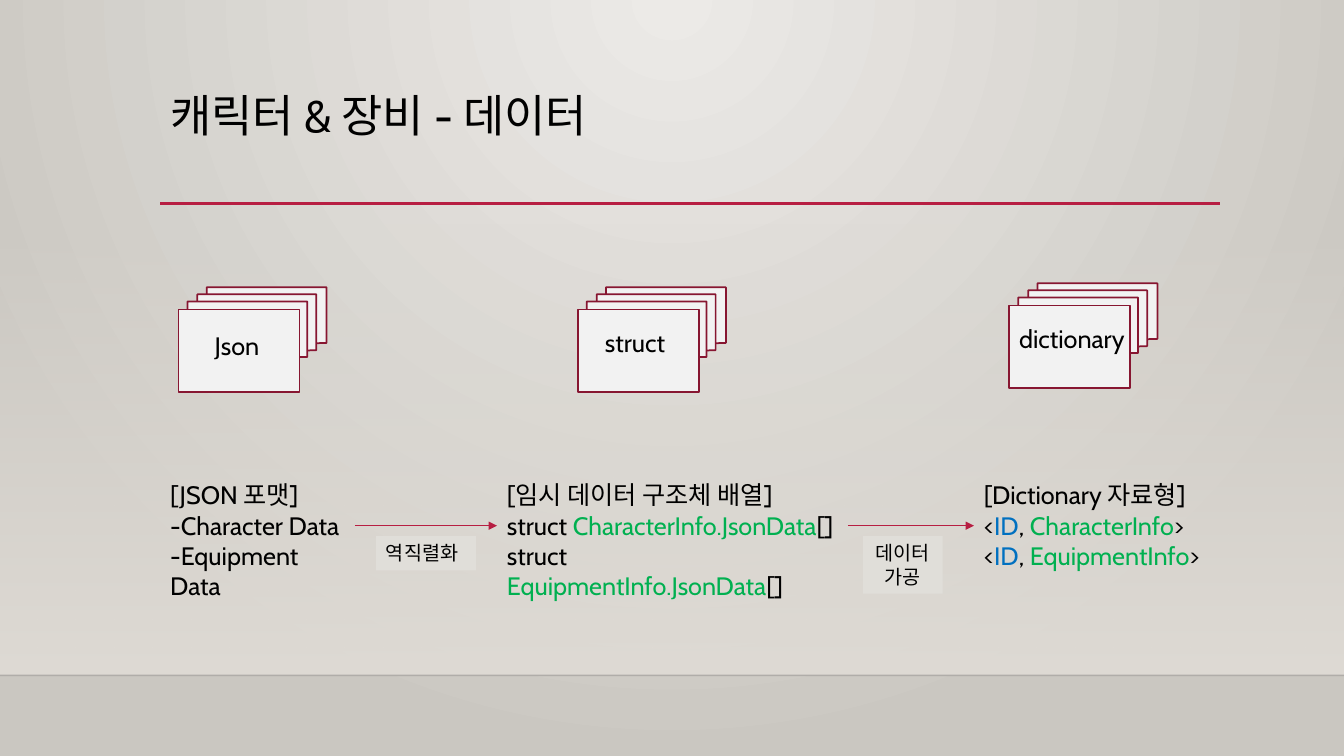
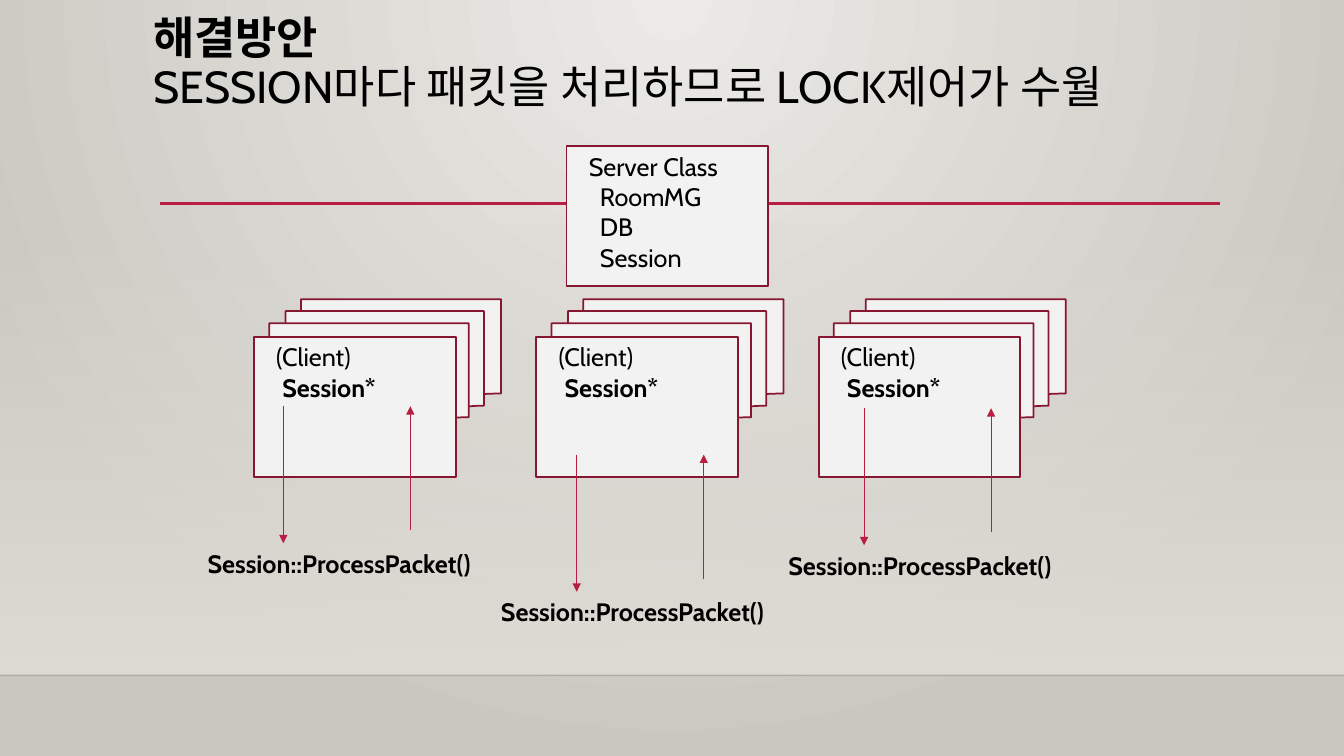
"""Builds two slides on game data loading and per-session packet handling."""
from dataclasses import dataclass

from lxml import etree
from pptx import Presentation
from pptx import util as u
from pptx.dml.color import RGBColor
from pptx.enum import shapes, text
from pptx.oxml.ns import qn


@dataclass(frozen=True)
class Theme:
    font: str = "Cabin"
    title: int = 32
    body: int = 18
    note: int = 14
    ink: str = "000000"
    type_name: str = "00B050"
    key: str = "0070C0"
    accent: str = "B71E42"
    edge: str = "871631"
    card: str = "F2F2F2"
    tag: str = "E0DED9"
    glow: str = "ECEAE7"
    shade: str = "CAC7C1"
    wall: str = "DFDBD5"
    floor_line: str = "000001"


T = Theme()
WIDTH, HEIGHT = 13.33, 7.5
FLOOR, WALL_TOP, RULE_Y = 6.7, 2.21, 2.02
RULE_LEFT, RULE_RIGHT = 1.59, 12.1
PAD = (0.1, 0.05)

DATA_TITLE = ["캐릭터 & 장비 - 데이터"]
STAGES = [
    dict(label="Json", card=(1.77, 3.07), pad=(0.36, 0.21), left=1.59, width=1.93,
         lines=["[JSON 포맷]", "-Character Data", "-Equipment Data"]),
    dict(label="struct", card=(5.73, 3.07), pad=(0.27, 0.18), left=4.93, width=3.48,
         lines=["[임시 데이터 구조체 배열]",
                [("struct ", None), ("CharacterInfo.JsonData", T.type_name), ("[]", None)],
                [("struct ", None), ("EquipmentInfo.JsonData", T.type_name), ("[]", None)]]),
    dict(label="dictionary", card=(10.01, 3.03), pad=(0.1, 0.18), left=9.66, width=2.31,
         lines=["[Dictionary 자료형]",
                [("<", None), ("ID", T.key), (", ", None), ("CharacterInfo", T.type_name), (">", None)],
                [("<", None), ("ID", T.key), (", ", None), ("EquipmentInfo", T.type_name), (">", None)]]),
]
STAGE_TOP, STAGE_HEIGHT = 4.71, 1.01
STAGE_CARD = (1.2, 0.82)
STEPS = [
    (["역직렬화"], (3.73, 5.32, 0.99, 0.34), text.PP_ALIGN.LEFT),
    (["데이터", "가공"], (8.56, 5.32, 0.79, 0.57), text.PP_ALIGN.CENTER),
]

SESSION_TITLE = ["해결방안", "SESSION마다 패킷을 처리하므로 LOCK제어가 수월"]
SERVER = ["Server Class", "RoomMG", "DB", "Session"]
CLIENT = ["(Client)", "Session*"]
CALL = "Session::ProcessPacket()"
SESSION_CARD = (2, 1.39)
SERVER_AT = (5.62, 1.45)
CLIENT_LEFT, CLIENT_TOP, CLIENT_PITCH = 2.52, 3.34, 2.8
CALLS_AT = [(1.96, 5.39), (4.87, 5.87), (7.72, 5.41)]
CALL_SIZE = (3.11, 0.4)
SEND_X, RETURN_X, ARROW_RISE, RETURN_GAP = 0.85, 2.11, 1.36, 0.13


def rgb(value):
    return RGBColor.from_string(value)


def inches(values):
    return [u.Inches(value) for value in values]


def set_alpha(color_holder, percent):
    color = color_holder.find(".//" + qn("a:srgbClr"))
    etree.SubElement(color, qn("a:alpha"), val=str(percent * 1000))


def set_gradient(fill, colors):
    fill.gradient()
    for stop, position, color in zip(fill.gradient_stops, (0, 1), colors):
        stop.position = position
        stop.color.rgb = rgb(color)


def write(frame, lines, size=T.body, pad=PAD, bold=(), indents=(),
          align=text.PP_ALIGN.LEFT, spacing=1.0):
    frame.word_wrap = True
    frame.vertical_anchor = text.MSO_ANCHOR.TOP
    frame.margin_left, frame.margin_top = inches(pad)
    frame.margin_right = u.Inches(min(pad[0], PAD[0]) if frame.margin_left <= u.Inches(0.1) and size != T.body else 0.05)
    for index, line in enumerate(lines):
        paragraph = frame.paragraphs[0] if index == 0 else frame.add_paragraph()
        paragraph.alignment = align
        paragraph.line_spacing = spacing
        font = paragraph.font
        font.name, font.size, font.bold = T.font, u.Pt(size), index in bold
        font.color.rgb = rgb(T.ink)
        if index < len(indents):
            paragraph._p.get_or_add_pPr().set("marL", str(u.Inches(indents[index])))
        for words, color in [(line, None)] if isinstance(line, str) else line:
            run = paragraph.add_run()
            run.text = words
            if color:
                run.font.color.rgb = rgb(color)


def add_text(slide, box, lines, **style):
    block = slide.shapes.add_textbox(*inches(box))
    write(block.text_frame, lines, **style)
    return block


def add_panel(slide, box, fill, edge=None, kind=shapes.MSO_SHAPE.RECTANGLE):
    panel = slide.shapes.add_shape(kind, *inches(box))
    panel.shadow.inherit = False
    panel.fill.solid()
    panel.fill.fore_color.rgb = rgb(fill)
    if edge:
        panel.line.color.rgb = rgb(edge)
        panel.line.width = u.Pt(1.25)
    else:
        panel.line.fill.background()
    return panel


def add_stack(slide, left, top, size, lines, **style):
    width, height = size
    add_panel(slide, (left + width * 0.075, top - height * 0.267, width * 1.15, height * 1.01),
              T.card, T.edge, shapes.MSO_SHAPE.FLOWCHART_MULTIDOCUMENT)
    front = add_panel(slide, (left, top, width, height), T.card, T.edge)
    write(front.text_frame, lines, **style)


def add_line(slide, start, end, color=T.accent, weight=0.75, arrow=False):
    line = slide.shapes.add_connector(shapes.MSO_CONNECTOR.STRAIGHT, *inches(start + end))
    line.line.color.rgb = rgb(color)
    line.line.width = u.Pt(weight)
    properties = line._element.spPr
    if arrow:
        etree.SubElement(properties.find(qn("a:ln")), qn("a:tailEnd"), type="triangle")
    etree.SubElement(properties, qn("a:effectLst"))
    return line


def paint_background(master):
    set_gradient(master.background.fill, (T.glow, T.shade))
    gradient = master.element.find(".//" + qn("p:bgPr")).find(qn("a:gradFill"))
    gradient.remove(gradient.find(qn("a:lin")))
    circle = etree.SubElement(gradient, qn("a:path"), path="circle")
    etree.SubElement(circle, qn("a:fillToRect"), l="43000", t="0", r="43000", b="100000")


def start_slide(deck, title, left, top, bold=()):
    slide = deck.slides.add_slide(deck.slide_layouts[6])
    wall = add_panel(slide, (0, WALL_TOP, WIDTH, FLOOR - WALL_TOP), T.wall)
    set_gradient(wall.fill, (T.wall, T.wall))
    wall.fill.gradient_angle = 270
    set_alpha(wall._element.spPr.find(".//" + qn("a:gs")), 0)
    floor = add_line(slide, (0, FLOOR), (WIDTH, FLOOR), T.floor_line, 1)
    set_alpha(floor._element.spPr, 20)
    add_line(slide, (RULE_LEFT, RULE_Y), (RULE_RIGHT, RULE_Y), weight=2.5)
    add_text(slide, (left, top, 10.5, 1.15), title, size=T.title, bold=bold, spacing=0.9)
    return slide


def build_data(deck):
    slide = start_slide(deck, DATA_TITLE, RULE_LEFT, 0.88)
    blocks = []
    for stage in STAGES:
        add_stack(slide, *stage["card"], STAGE_CARD, [stage["label"]], pad=stage["pad"])
        box = (stage["left"], STAGE_TOP, stage["width"], STAGE_HEIGHT)
        blocks.append(add_text(slide, box, stage["lines"]))
    for source, target, (lines, box, align) in zip(blocks, blocks[1:], STEPS):
        arrow = add_line(slide, (0, 0), (1, 1), arrow=True)
        arrow.begin_connect(source, 3)
        arrow.end_connect(target, 1)
        tag = add_panel(slide, box, T.tag)
        write(tag.text_frame, lines, size=T.note, align=align)


def build_sessions(deck):
    slide = start_slide(deck, SESSION_TITLE, 1.42, 0.11, bold=(0,))
    server = add_panel(slide, SERVER_AT + SESSION_CARD, T.card, T.edge)
    write(server.text_frame, SERVER, pad=(0.22, 0.05), indents=(0, 0.11, 0.11, 0.11))
    for index, (left, top) in enumerate(CALLS_AT):
        add_stack(slide, CLIENT_LEFT + index * CLIENT_PITCH, CLIENT_TOP, SESSION_CARD,
                  CLIENT, pad=(0.22, 0.05), bold=(1,), indents=(0, 0.06))
        add_text(slide, (left, top) + CALL_SIZE, [CALL], bold=(0,))
        send, back, high = left + SEND_X, left + RETURN_X, top - ARROW_RISE
        add_line(slide, (send, high), (send, top), arrow=True)
        add_line(slide, (back, top - RETURN_GAP), (back, high), arrow=True)


def main():
    deck = Presentation()
    deck.slide_width, deck.slide_height = inches((WIDTH, HEIGHT))
    paint_background(deck.slide_master)
    build_data(deck)
    build_sessions(deck)
    deck.save("out.pptx")


if __name__ == "__main__":
    main()
